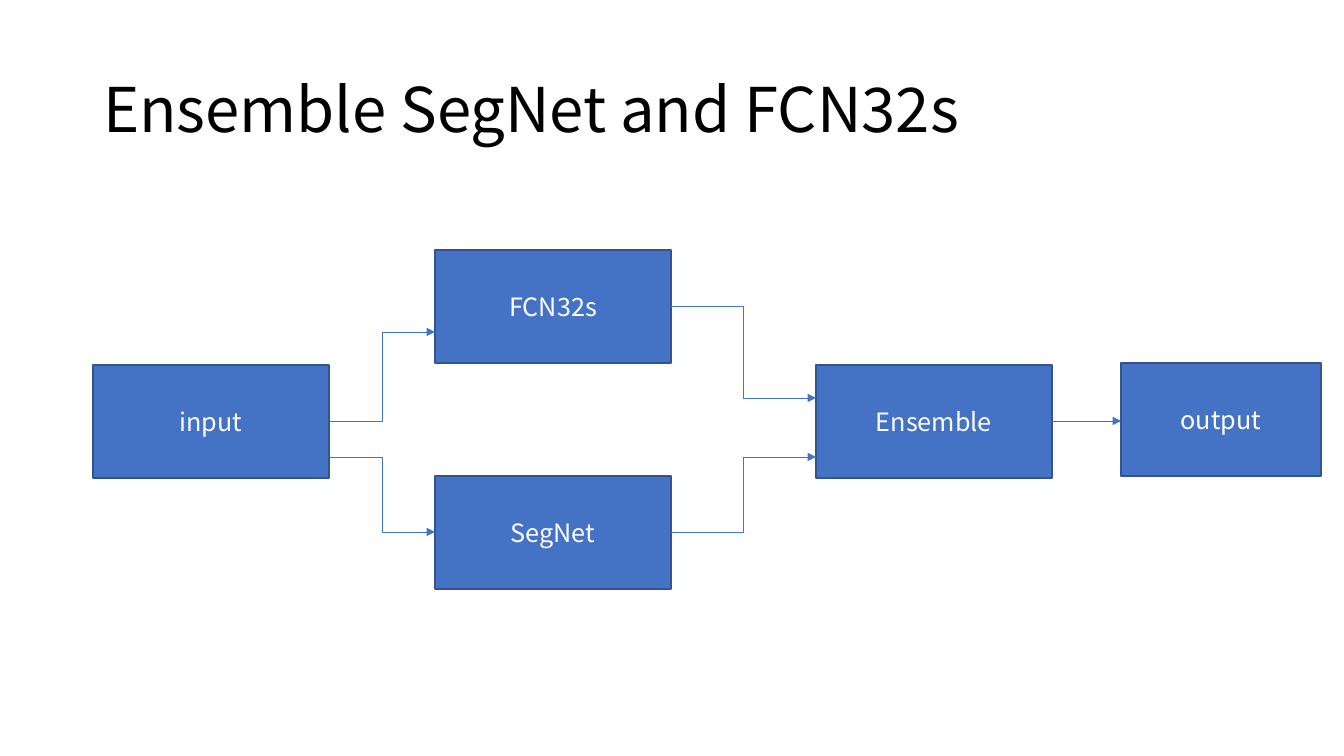
import dataclasses
import typing

import lxml.etree
import pptx
import pptx.dml.color
import pptx.enum.shapes
import pptx.enum.text
import pptx.oxml.ns
import pptx.presentation
import pptx.slide
import pptx.text.text
import pptx.util

EMU_PER_PIXEL = 914400 / 100.8
BOX_HEIGHT = 113


@dataclasses.dataclass(frozen=True)
class Theme:
    """Colours, font and sizes of the slide."""
    font: str = "Noto Sans CJK SC"
    title_color: str = "000000"
    label_color: str = "FFFFFF"
    box_fill: str = "4472C4"
    box_line: str = "325491"
    arrow_color: str = "4472C4"
    title_size: float = 44
    label_size: float = 18
    box_line_width: float = 1
    arrow_width: float = 0.5


@dataclasses.dataclass(frozen=True)
class Stage:
    """One box of the pipeline, in pixels."""
    label: str
    left: int
    top: int
    width: int = 236

    @property
    def right(self) -> int:
        """Return the right edge."""
        return self.left + self.width


@dataclasses.dataclass(frozen=True)
class Flow:
    """An arrow between two stages, with the heights of its ends."""
    source: Stage
    target: Stage
    start_y: int
    end_y: int


THEME = Theme()
SOURCE = Stage("input", 93, 365)
SEGNET = Stage("SegNet", 435, 476)
FCN = Stage("FCN32s", 435, 250)
ENSEMBLE = Stage("Ensemble", 816, 365)
RESULT = Stage("output", 1121, 363, 200)
STAGES = (SOURCE, SEGNET, FCN, ENSEMBLE, RESULT)
FLOWS = (
    Flow(SOURCE, FCN, 421, 332),
    Flow(SOURCE, SEGNET, 457, 532),
    Flow(FCN, ENSEMBLE, 306, 398),
    Flow(SEGNET, ENSEMBLE, 532, 457),
    Flow(ENSEMBLE, RESULT, 421, 421),
)


def px(*pixels: int) -> list[pptx.util.Emu]:
    """Turn pixels into EMU."""
    return [pptx.util.Emu(round(value * EMU_PER_PIXEL)) for value in pixels]


def rgb(code: str) -> pptx.dml.color.RGBColor:
    """Turn a hex code into a colour."""
    return pptx.dml.color.RGBColor.from_string(code)


def apply_format(target: typing.Any, values: dict[str, typing.Any]) -> None:
    """Set each named attribute on the target."""
    for name, value in values.items():
        setattr(target, name, value)


def write_text(frame: pptx.text.text.TextFrame, wording: str, size: float,
               color: str, paragraph_format: dict[str, typing.Any]) -> None:
    """Write one formatted, vertically centred paragraph."""
    apply_format(frame, {
        "text": wording,
        "word_wrap": True,
        "auto_size": pptx.enum.text.MSO_AUTO_SIZE.NONE,
        "vertical_anchor": pptx.enum.text.MSO_ANCHOR.MIDDLE,
    })
    paragraph = frame.paragraphs[0]
    apply_format(paragraph, paragraph_format)
    font = paragraph.runs[0].font
    apply_format(font, {"name": THEME.font, "size": pptx.util.Pt(size)})
    font.color.rgb = rgb(color)


def add_title(slide: pptx.slide.Slide, wording: str) -> None:
    """Place and fill the title placeholder."""
    title = slide.shapes.title
    left, top, width, height = px(93, 40, 1159, 146)
    apply_format(title, {"left": left, "top": top, "width": width, "height": height})
    write_text(title.text_frame, wording, THEME.title_size, THEME.title_color,
               {"alignment": pptx.enum.text.PP_ALIGN.LEFT, "line_spacing": 0.9})


def add_stage(slide: pptx.slide.Slide, stage: Stage) -> None:
    """Draw a labelled box."""
    box = slide.shapes.add_shape(
        pptx.enum.shapes.MSO_SHAPE.RECTANGLE,
        *px(stage.left, stage.top, stage.width, BOX_HEIGHT))
    box.shadow.inherit = False
    box.fill.solid()
    box.fill.fore_color.rgb = rgb(THEME.box_fill)
    box.line.color.rgb = rgb(THEME.box_line)
    box.line.width = pptx.util.Pt(THEME.box_line_width)
    write_text(box.text_frame, stage.label, THEME.label_size, THEME.label_color,
               {"alignment": pptx.enum.text.PP_ALIGN.CENTER})


def add_flow(slide: pptx.slide.Slide, flow: Flow) -> None:
    """Draw an arrow, bent when its ends differ in height."""
    kinds = pptx.enum.shapes.MSO_CONNECTOR
    kind = kinds.STRAIGHT if flow.start_y == flow.end_y else kinds.ELBOW
    arrow = slide.shapes.add_connector(
        kind, *px(flow.source.right, flow.start_y, flow.target.left, flow.end_y))
    arrow.line.color.rgb = rgb(THEME.arrow_color)
    arrow.line.width = pptx.util.Pt(THEME.arrow_width)
    qn = pptx.oxml.ns.qn
    properties = arrow._element.spPr
    lxml.etree.SubElement(properties.find(qn("a:ln")), qn("a:tailEnd"), type="triangle")
    lxml.etree.SubElement(properties, qn("a:effectLst"))


def build() -> pptx.presentation.Presentation:
    """Build the one-slide deck."""
    deck = pptx.Presentation()
    deck.slide_width, deck.slide_height = px(1344, 756)
    slide = deck.slides.add_slide(deck.slide_layouts.get_by_name("Title Only"))
    add_title(slide, "Ensemble SegNet and FCN32s")
    for stage in STAGES:
        add_stage(slide, stage)
    for flow in FLOWS:
        add_flow(slide, flow)
    return deck


build().save("out.pptx")
